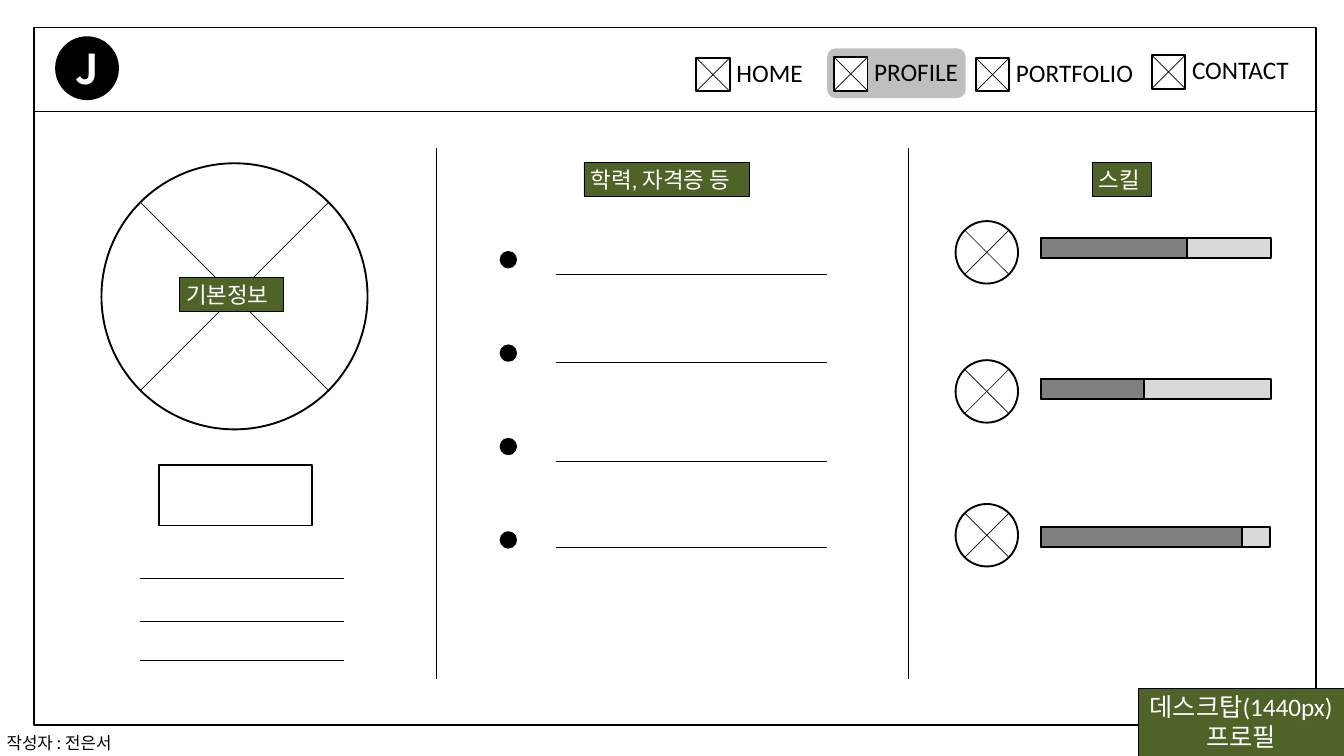
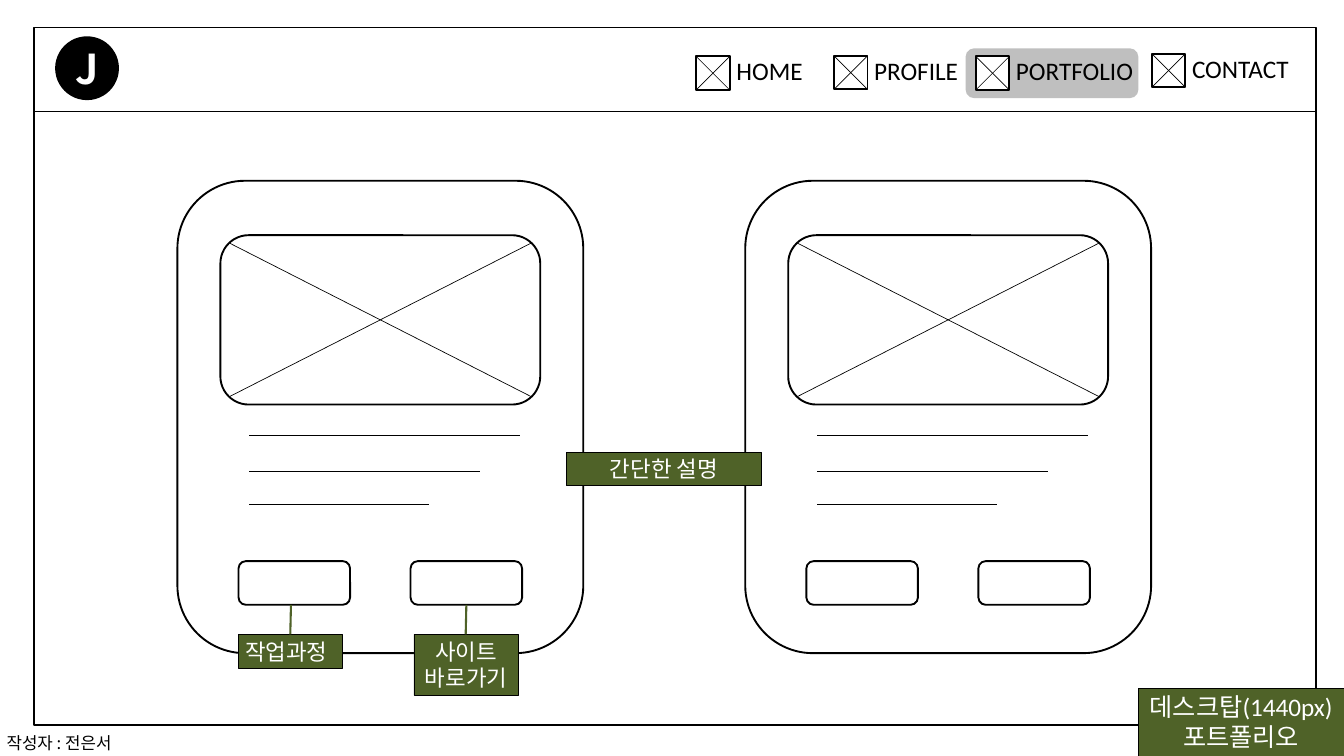
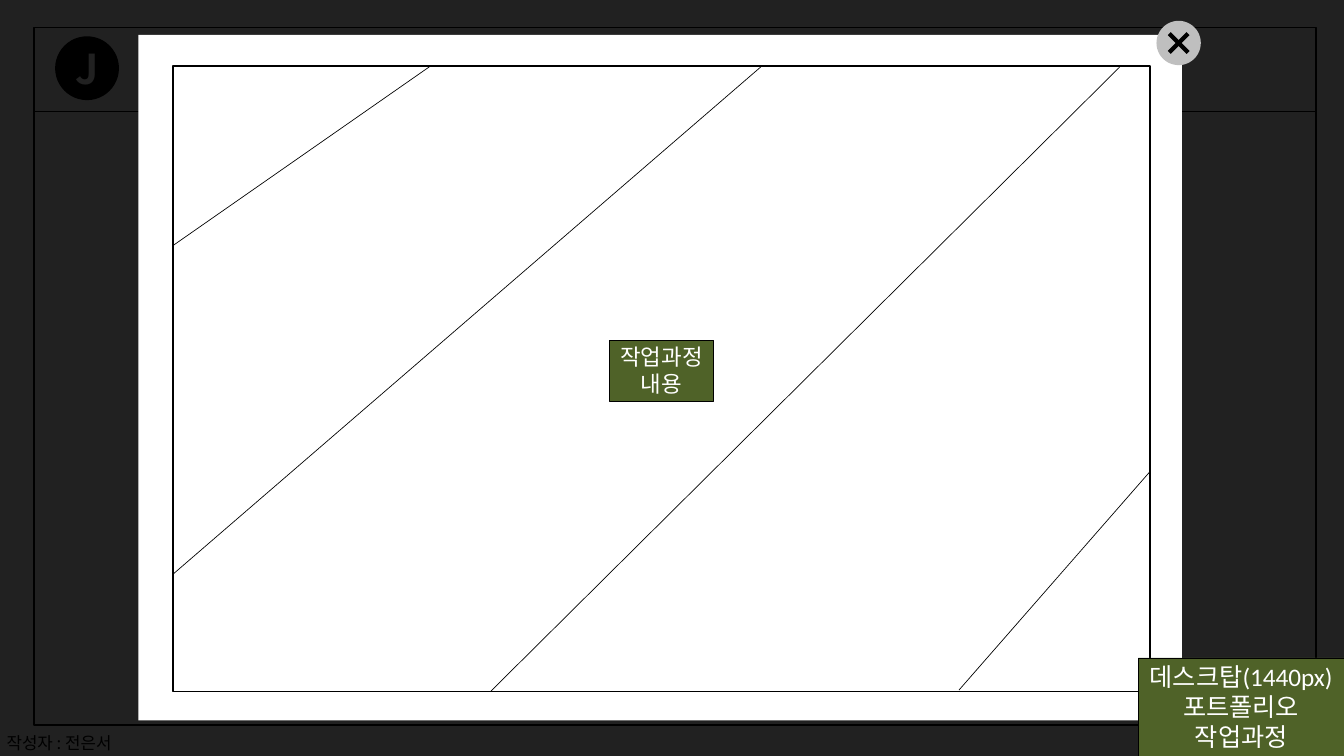
from dataclasses import dataclass

from lxml import etree
from pptx import Presentation
from pptx.dml.color import RGBColor
from pptx.enum import shapes as kinds, text as layout
from pptx.oxml.ns import qn
from pptx.util import Inches, Pt


@dataclass(frozen=True)
class Theme:
    ink: str = "000000"
    paper: str = "FFFFFF"
    note: str = "4F6228"
    highlight: str = "BFBFBF"
    track: str = "D9D9D9"
    level: str = "808080"
    latin: str = "Calibri"
    korean: str = "Noto Sans CJK KR"
    logo_size: float = 44
    label_size: float = 27
    note_size: float = 24
    footer_size: float = 18
    thin: float = 0.75
    outline: float = 2
    leader: float = 2.25
    heavy: float = 4.5


@dataclass(frozen=True)
class Box:
    left: float
    top: float
    width: float
    height: float

    def at(self, dx, dy, width, height):
        """A box placed relative to this one's top left corner."""
        return Box(self.left + dx, self.top + dy, width, height)

    def lengths(self):
        return [Inches(v) for v in (self.left, self.top, self.width, self.height)]


THEME = Theme()
RECT = kinds.MSO_SHAPE.RECTANGLE
ROUND = kinds.MSO_SHAPE.ROUNDED_RECTANGLE
OVAL = kinds.MSO_SHAPE.OVAL
LEFT, CENTER = layout.PP_ALIGN.LEFT, layout.PP_ALIGN.CENTER

SLIDE = Box(0, 0, 20, 11.25)
FRAME = Box(0.5, 0.41, 19.09, 10.38)
HEADER_HEIGHT = 1.24
CIRCLE_INSET = 0.146  # share of the diameter outside the inscribed square

# label: icon left, icon top, label width, highlight left, highlight width
NAV = {
    "HOME": (10.36, 0.86, 1.2, 10.25, 1.95),
    "PROFILE": (12.41, 0.85, 1.46, 12.31, 2.06),
    "PORTFOLIO": (14.52, 0.86, 1.96, 14.37, 2.57),
    "CONTACT": (17.14, 0.82, 1.65, 17.04, 2.4),
}


def colour(value):
    return RGBColor.from_string(value)


def add_shape(shapes, kind, box, fill=None, line=THEME.ink, width=THEME.outline, alpha=None):
    shape = shapes.add_shape(kind, *box.lengths())
    shape.shadow.inherit = False
    if fill:
        shape.fill.solid()
        shape.fill.fore_color.rgb = colour(fill)
    else:
        shape.fill.background()
    if alpha is not None:
        tint = shape._element.spPr.find(qn("a:solidFill"))[0]
        etree.SubElement(tint, qn("a:alpha")).set("val", str(alpha * 1000))
    if line:
        shape.line.color.rgb = colour(line)
        shape.line.width = Pt(width)
    else:
        shape.line.fill.background()
    return shape


def add_line(shapes, x1, y1, x2, y2, line=THEME.ink, width=THEME.thin):
    ends = [Inches(v) for v in (x1, y1, x2, y2)]
    connector = shapes.add_connector(kinds.MSO_CONNECTOR.STRAIGHT, *ends)
    connector.line.color.rgb = colour(line)
    connector.line.width = Pt(width)
    etree.SubElement(connector._element.spPr, qn("a:effectLst"))


def write(shape, words, size, color=THEME.ink, font=THEME.latin, bold=False,
          align=LEFT, anchor=layout.MSO_ANCHOR.TOP):
    """Fill a shape with one paragraph for each line of words."""
    frame = shape.text_frame
    frame.word_wrap = True
    frame.vertical_anchor = anchor
    frame.margin_left = Inches(0.1 if align == LEFT else 0)
    frame.margin_right = 0
    for index, line in enumerate(words.split("\n")):
        para = frame.add_paragraph() if index else frame.paragraphs[0]
        para.alignment = align
        span = para.add_run()
        span.text = line
        span.font.size = Pt(size)
        span.font.name = font
        span.font.bold = bold
        span.font.color.rgb = colour(color)
        east = etree.SubElement(span._r.get_or_add_rPr(), qn("a:ea"))
        east.set("typeface", THEME.korean)


def add_label(shapes, box, words, size, **style):
    write(shapes.add_textbox(*box.lengths()), words, size, **style)


def add_note(shapes, box, words, size=THEME.note_size, align=CENTER):
    """A green annotation on the wireframe."""
    shape = add_shape(shapes, RECT, box, THEME.note, width=THEME.thin)
    write(shape, words, size, THEME.paper, align=align)


def add_crossed(shapes, kind, box, inset_x=0.0, inset_y=0.0, fill=THEME.paper,
                line=THEME.ink, width=THEME.thin):
    """An image or icon stand-in: an outline with two diagonals."""
    add_shape(shapes, kind, box, fill, line)
    left, right = box.left + inset_x, box.left + box.width - inset_x
    top, bottom = box.top + inset_y, box.top + box.height - inset_y
    add_line(shapes, right, top, left, bottom, width=width)
    add_line(shapes, left, top, right, bottom, width=width)


def add_crossed_circle(page, box):
    inset = box.width * CIRCLE_INSET
    add_crossed(page.shapes.add_group_shape().shapes, OVAL, box, inset, inset)


def site_frame(page, box):
    add_shape(page.shapes, RECT, box)
    rule = box.top + HEADER_HEIGHT
    add_line(page.shapes, box.left, rule, box.left + box.width, rule)
    logo = add_shape(page.shapes, OVAL, box.at(0.32, 0.13, 0.95, 0.95), THEME.ink, None)
    write(logo, "J", THEME.logo_size, THEME.paper, THEME.korean, True,
          CENTER, layout.MSO_ANCHOR.MIDDLE)
    add_label(page.shapes, Box(0, 10.85, 1.9, 0.4), "작성자 : 전은서",
              THEME.footer_size, font=THEME.korean)


def navigation(page, active, shift=0.0):
    for name, (left, top, width, back_left, back_width) in NAV.items():
        if name == active:
            add_shape(page.shapes, ROUND, Box(back_left, 0.72, back_width, 0.74),
                      THEME.highlight, None)
        item = page.shapes.add_group_shape().shapes
        icon = Box(left, top + shift, 0.5, 0.5)
        add_crossed(item, RECT, icon)
        add_label(item, icon.at(0.5, -0.06, width, 0.56), name, THEME.label_size)


def corner_note(page, words, height):
    box = Box(16.94, SLIDE.height - height, 3.06, height)
    add_note(page.shapes, box, words, THEME.label_size)


def basic_info(page, box):
    add_crossed_circle(page, box.at(1.01, 0.78, 3.96, 3.96))
    add_shape(page.shapes, RECT, box.at(1.86, 5.27, 2.28, 0.9))
    for dy in (6.95, 7.59, 8.17):
        y = box.top + dy
        add_line(page.shapes, box.left + 1.58, y, box.left + 4.62, y)
    add_note(page.shapes, box.at(2.17, 2.48, 1.55, 0.5), "기본정보", align=LEFT)


def credentials(page, box):
    for index, dy in enumerate((2.43, 3.74, 5.22, 6.49)):
        add_shape(page.shapes, OVAL, box.at(0.95, 2.1 + index * 1.39, 0.23, 0.23), THEME.ink)
        y = box.top + dy
        add_line(page.shapes, box.left + 1.78, y, box.left + 5.8, y)
    add_note(page.shapes, box.at(2.19, 0.77, 2.46, 0.5), "학력, 자격증 등", align=LEFT)


def skills(page, box):
    rows = ((1.64, 1.89, 3.43, 2.18), (3.71, 3.99, 3.43, 1.53), (5.85, 6.19, 3.41, 2.99))
    for icon_top, bar_top, track, level in rows:
        add_crossed_circle(page, box.at(0.71, icon_top, 0.93, 0.93))
        for width, fill in ((track, THEME.track), (level, THEME.level)):
            add_shape(page.shapes, RECT, box.at(1.98, bar_top, width, 0.3), fill)
    add_note(page.shapes, box.at(2.74, 0.77, 0.88, 0.5), "스킬", align=LEFT)


def project_card(page, box):
    card = page.shapes.add_group_shape().shapes
    add_shape(card, ROUND, box, THEME.paper)
    add_crossed(card, ROUND, box.at(0.64, 0.81, 4.76, 2.52), 0.14, 0.12)
    for dx in (0.91, 3.47):
        add_shape(card, ROUND, box.at(dx, 5.66, 1.66, 0.65), THEME.paper)
    for dy, length in ((3.79, 4.03), (4.32, 3.43), (4.81, 2.68)):
        x, y = box.left + 1.07, box.top + dy
        add_line(card, x, y, x + length, y)


def button_note(page, box, words, align):
    """A note below a button, with a leader line up to it."""
    add_note(page.shapes, box, words, align=align)
    x = box.left + 0.77
    add_line(page.shapes, x, box.top, x + 0.01, box.top - 0.44, THEME.note, THEME.leader)


def work_modal(page, box):
    add_shape(page.shapes, RECT, SLIDE, THEME.ink, None, alpha=87)
    add_shape(page.shapes, RECT, box, THEME.paper, None)
    close = page.shapes.add_group_shape().shapes
    add_crossed(close, OVAL, box.at(15.15, -0.21, 0.66, 0.66), 0.19, 0.19,
                THEME.highlight, None, THEME.heavy)
    content = box.at(0.52, 0.46, 14.54, 9.31)
    add_shape(page.shapes, RECT, content)
    strokes = ((3.83, 0, 0, 2.67), (8.76, 0, 0, 7.56),
               (14.08, 0.02, 4.72, 9.31), (14.54, 6.03, 11.69, 9.29))
    for x1, y1, x2, y2 in strokes:
        add_line(page.shapes, content.left + x1, content.top + y1,
                 content.left + x2, content.top + y2)
    add_note(page.shapes, content.at(6.49, 4.08, 1.55, 0.91), "작업과정\n내용")


def profile_page(page):
    navigation(page, "PROFILE")
    site_frame(page, FRAME)
    top = FRAME.top + HEADER_HEIGHT
    height = FRAME.height - HEADER_HEIGHT
    columns = ((basic_info, 0.5, 6), (credentials, 6.5, 7.01), (skills, 13.51, 6.08))
    for draw, left, width in columns:
        draw(page, Box(left, top, width, height))
        if left > FRAME.left:
            add_line(page.shapes, left, 2.2, left, 10.1)
    corner_note(page, "데스크탑(1440px)\n프로필", 1.01)


def portfolio_page(page):
    navigation(page, "PORTFOLIO", shift=-0.02)
    site_frame(page, FRAME)
    for left in (2.64, 11.09):
        project_card(page, Box(left, 2.69, 6.04, 7.03))
    button_note(page, Box(3.55, 9.44, 1.55, 0.5), "작업과정", LEFT)
    button_note(page, Box(6.16, 9.44, 1.55, 0.91), "사이트\n바로가기", CENTER)
    add_note(page.shapes, Box(8.43, 6.73, 2.9, 0.5), "간단한 설명")
    corner_note(page, "데스크탑(1440px)\n포트폴리오", 1.01)


def work_process_page(page):
    site_frame(page, FRAME)
    work_modal(page, Box(2.06, 0.52, 15.53, 10.2))
    corner_note(page, "데스크탑(1440px)\n포트폴리오\n작업과정", 1.46)


def main():
    deck = Presentation()
    deck.slide_width, deck.slide_height = Inches(SLIDE.width), Inches(SLIDE.height)
    blank = deck.slide_layouts[6]
    for draw in (profile_page, portfolio_page, work_process_page):
        draw(deck.slides.add_slide(blank))
    deck.save("out.pptx")


if __name__ == "__main__":
    main()
